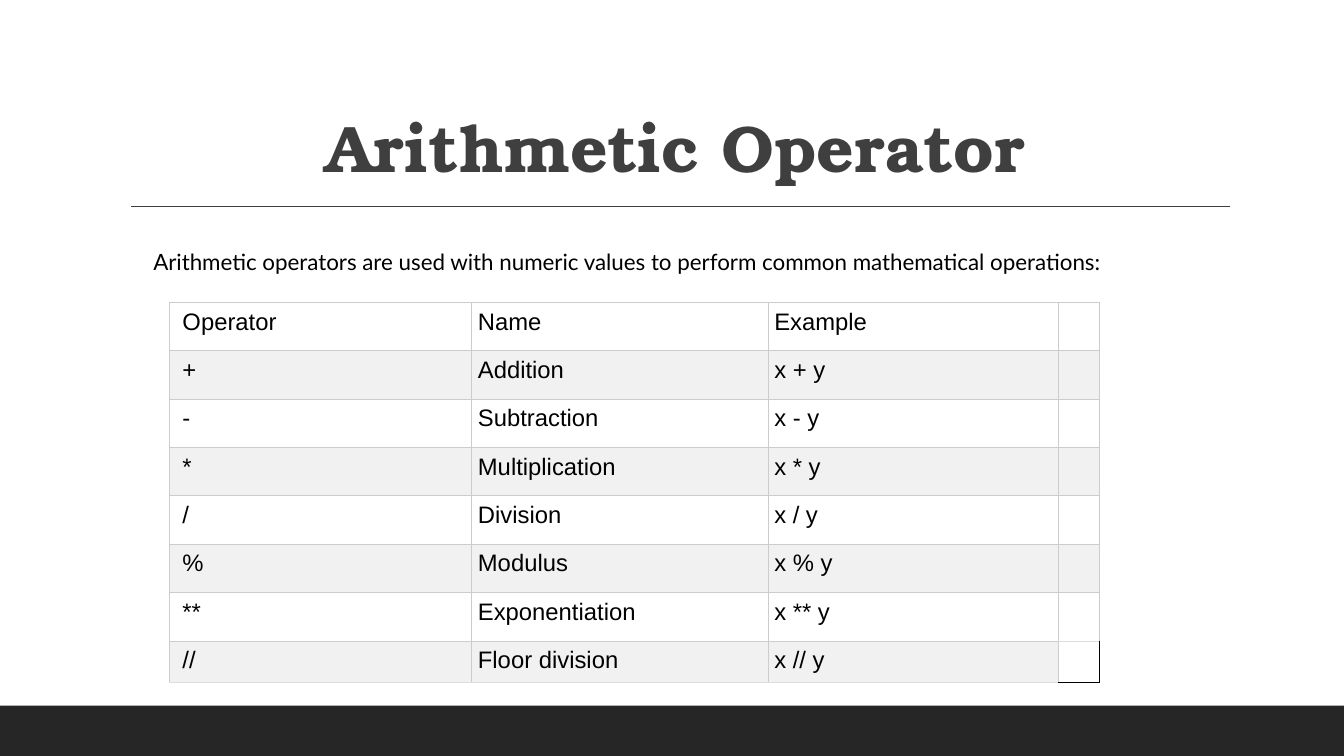
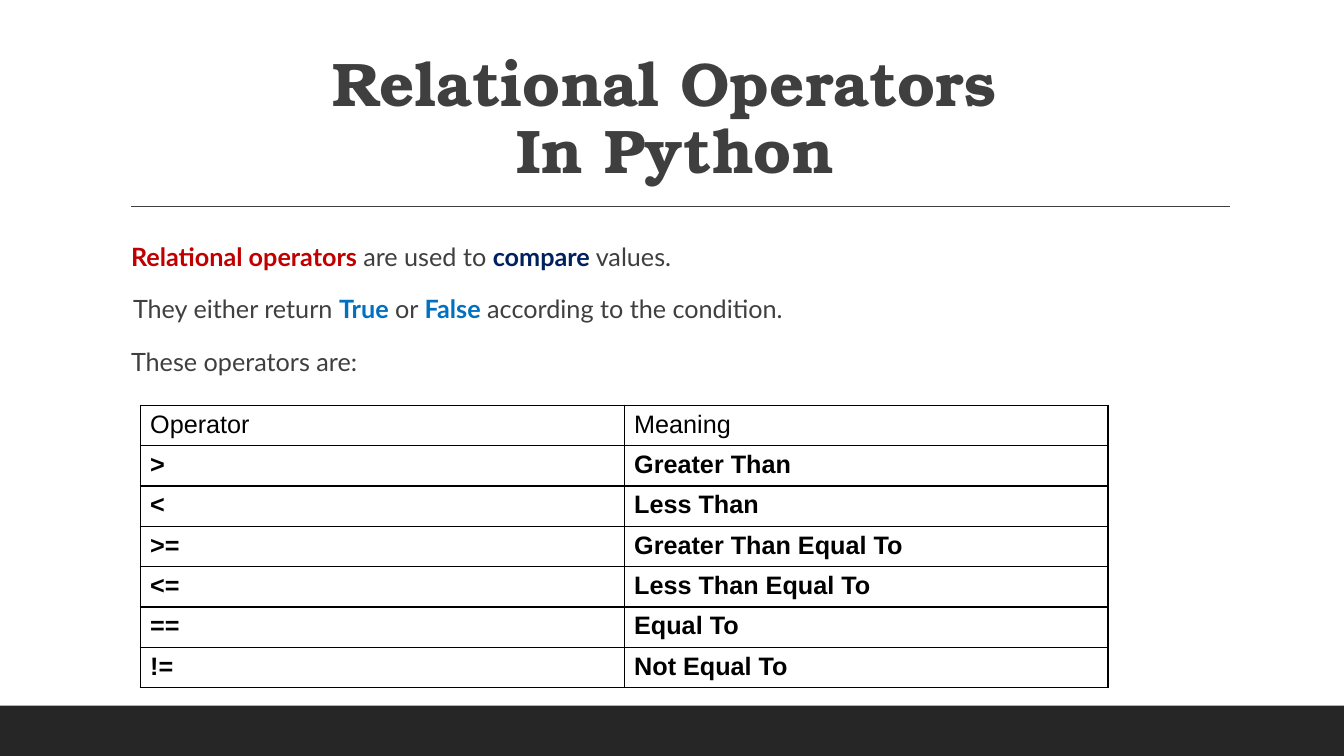
"""Build two slides on arithmetic and relational operators."""
from dataclasses import dataclass

from lxml import etree
from pptx import Presentation
from pptx.dml.color import RGBColor
from pptx.enum import shapes, text
from pptx.oxml import ns
from pptx.slide import Slide
from pptx.table import Table, _Cell
from pptx.text.text import TextFrame, _Paragraph
from pptx.util import Inches, Pt

COLORS = {
    "band": "262626", "ink": "3F3F3F", "black": "000000", "white": "FFFFFF",
    "stripe": "F1F1F1", "grid": "CCCCCC", "grid_end": "DDDDDD",
    "red": "C00000", "navy": "002060", "blue": "0070C0",
}
TITLE_FONT, BODY_FONT, TABLE_FONT = "TeX Gyre Bonum", "Lato", "Arial"
SIDES = ("L", "R", "T", "B")


@dataclass(frozen=True)
class Phrase:
    """A stretch of text with one colour and weight."""
    words: str
    color: str = "ink"
    bold: bool = False


@dataclass(frozen=True)
class Statement:
    """A body paragraph and its left indent in inches."""
    phrases: tuple[Phrase, ...]
    indent: float = 0.1


@dataclass(frozen=True)
class Grid:
    """Contents and measures of a table, in inches and points."""
    left: float
    top: float
    columns: tuple[float, ...]
    row_heights: tuple[float, ...]
    rows: tuple[tuple[str, ...], ...]
    size: float


ARITHMETIC = Grid(
    1.68, 3, (3, 2.94, 2.88, 0.41), (0.48,) * 7 + (0.41,),
    (
        ("Operator", "Name", "Example", ""),
        ("+", "Addition", "x + y", ""),
        ("-", "Subtraction", "x - y", ""),
        ("*", "Multiplication", "x * y", ""),
        ("/", "Division", "x / y", ""),
        ("%", "Modulus", "x % y", ""),
        ("**", "Exponentiation", "x ** y", ""),
        ("//", "Floor division", "x // y", ""),
    ),
    17,
)
RELATIONAL = Grid(
    1.39, 4.02, (4.8, 4.8), (0.38,) * 7,
    (
        ("Operator", "Meaning"),
        (">", "Greater Than"),
        ("<", "Less Than"),
        (">=", "Greater Than Equal To"),
        ("<=", "Less Than Equal To"),
        ("==", "Equal To"),
        ("!=", "Not Equal To"),
    ),
    18,
)
ARITHMETIC_INTRO = (
    Statement((Phrase(
        "Arithmetic operators are used with numeric values to perform "
        "common mathematical operations:", "black"),)),
)
RELATIONAL_INTRO = (
    Statement((
        Phrase("Relational operators ", "red", True), Phrase("are used to "),
        Phrase("compare", "navy", True), Phrase(" values."),
    )),
    Statement((
        Phrase("They either return "), Phrase("True", "blue", True),
        Phrase(" or "), Phrase("False", "blue", True),
        Phrase(" according to the condition."),
    ), 0.12),
    Statement((Phrase("These operators are:"),)),
)


def rgb(name: str) -> RGBColor:
    """Look up a named colour."""
    return RGBColor.from_string(COLORS[name])


def write(paragraph: _Paragraph, words: str, *, size: float, font: str,
          color: str = "black", bold: bool = False) -> None:
    """Append formatted words, breaking lines at newlines."""
    for number, line in enumerate(words.split("\n")):
        if number:
            paragraph.add_line_break()
        run = paragraph.add_run()
        run.text = line
        run.font.size, run.font.name, run.font.bold = Pt(size), font, bold
        run.font.color.rgb = rgb(color)


def add_frame(slide: Slide, left: float, top: float, width: float,
              height: float, side_inset: float) -> TextFrame:
    """Add a wrapping text box and return its frame."""
    box = slide.shapes.add_textbox(
        Inches(left), Inches(top), Inches(width), Inches(height))
    frame = box.text_frame
    frame.word_wrap = True
    frame.margin_left = frame.margin_right = Inches(side_inset)
    frame.margin_top = frame.margin_bottom = Inches(0.05)
    return frame


def add_base(slide: Slide, title: str, size: float) -> None:
    """Draw the bottom band, the title rule and the title."""
    band = slide.shapes.add_shape(
        shapes.MSO_SHAPE.RECTANGLE, 0, Inches(7), Inches(13.33), Inches(0.5))
    band.shadow.inherit = False
    band.fill.solid()
    band.fill.fore_color.rgb = rgb("band")
    band.line.fill.background()

    rule = slide.shapes.add_connector(
        shapes.MSO_CONNECTOR.STRAIGHT,
        Inches(1.3), Inches(2.05), Inches(12.2), Inches(2.05))
    rule.line.color.rgb = rgb("ink")
    rule.line.width = Pt(1)
    etree.SubElement(rule._element.spPr, ns.qn("a:effectLst"))

    frame = add_frame(slide, 1.2, 0.31, 11, 1.59, 0.1)
    frame.vertical_anchor = text.MSO_ANCHOR.BOTTOM
    heading = frame.paragraphs[0]
    heading.alignment = text.PP_ALIGN.CENTER
    heading.line_spacing = 0.9
    write(heading, title, size=size, font=TITLE_FONT, color="ink", bold=True)


def add_intro(slide: Slide, left: float, top: float, width: float,
              height: float, statements: tuple[Statement, ...],
              size: float) -> None:
    """Write the body paragraphs above the table."""
    frame = add_frame(slide, left, top, width, height, 0)
    for number, statement in enumerate(statements):
        paragraph = frame.add_paragraph() if number else frame.paragraphs[0]
        paragraph.line_spacing = 1.1
        paragraph.space_before = Pt(14 if number else 0)
        paragraph._p.get_or_add_pPr().set(
            "marL", str(Inches(statement.indent)))
        for phrase in statement.phrases:
            write(paragraph, phrase.words, size=size, font=BODY_FONT,
                  color=phrase.color, bold=phrase.bold)


def set_borders(cell: _Cell, width: float, *colors: str) -> None:
    """Line the left, right, top and bottom of a cell."""
    properties = cell._tc.get_or_add_tcPr()
    for position, (side, color) in enumerate(zip(SIDES, colors, strict=True)):
        line = etree.Element(ns.qn(f"a:ln{side}"), w=str(Pt(width)))
        fill = etree.SubElement(line, ns.qn("a:solidFill"))
        etree.SubElement(fill, ns.qn("a:srgbClr"), val=COLORS[color])
        properties.insert(position, line)


def add_grid(slide: Slide, grid: Grid, bold_body: bool = False) -> Table:
    """Add a plain table with its text and return it."""
    table = slide.shapes.add_table(
        len(grid.rows), len(grid.columns), Inches(grid.left), Inches(grid.top),
        Inches(sum(grid.columns)), Inches(sum(grid.row_heights))).table
    table.first_row = table.horz_banding = False
    for column, width in zip(table.columns, grid.columns):
        column.width = Inches(width)
    for row, height, entries in zip(table.rows, grid.row_heights, grid.rows):
        row.height = Inches(height)
        for cell, entry in zip(row.cells, entries):
            cell.fill.background()
            if entry:
                write(cell.text_frame.paragraphs[0], entry, size=grid.size,
                      font=TABLE_FONT,
                      bold=bold_body and entries is not grid.rows[0])
    return table


def style_striped(table: Table) -> None:
    """Stripe the rows in grey, leaving the last corner open."""
    last_row, last_column = len(table.rows) - 1, len(table.columns) - 1
    for r, row in enumerate(table.rows):
        for c, cell in enumerate(row.cells):
            if cell.text:
                cell.margin_left = Inches(0.06 if c else 0.13)
                cell.margin_right = Inches(0.06)
                cell.margin_top = cell.margin_bottom = Inches(0.06)
            if (r, c) == (last_row, last_column):
                set_borders(cell, 0.75, "grid", "black", "grid_end", "black")
                continue
            cell.fill.solid()
            cell.fill.fore_color.rgb = rgb("stripe" if r % 2 else "white")
            ending = r == last_row or (r, c) == (last_row - 1, last_column)
            set_borders(cell, 0.75, "grid", "grid", "grid",
                        "grid_end" if ending else "grid")


def style_ruled(table: Table) -> None:
    """Rule every cell in black."""
    for cell in table.iter_cells():
        set_borders(cell, 1, *("black",) * len(SIDES))


def main() -> None:
    """Build and save the presentation."""
    deck = Presentation()
    deck.slide_width, deck.slide_height = Inches(13.33), Inches(7.5)
    blank = deck.slide_layouts[6]

    arithmetic = deck.slides.add_slide(blank)
    add_base(arithmetic, "Arithmetic Operator", 47)
    add_intro(arithmetic, 1.42, 2.39, 10.78, 4.02, ARITHMETIC_INTRO, 16)
    style_striped(add_grid(arithmetic, ARITHMETIC))

    relational = deck.slides.add_slide(blank)
    add_base(relational, "Relational Operators \nIn Python", 44)
    add_intro(relational, 1.2, 2.31, 11, 4.11, RELATIONAL_INTRO, 18)
    style_ruled(add_grid(relational, RELATIONAL, bold_body=True))

    deck.save("out.pptx")


if __name__ == "__main__":
    main()
